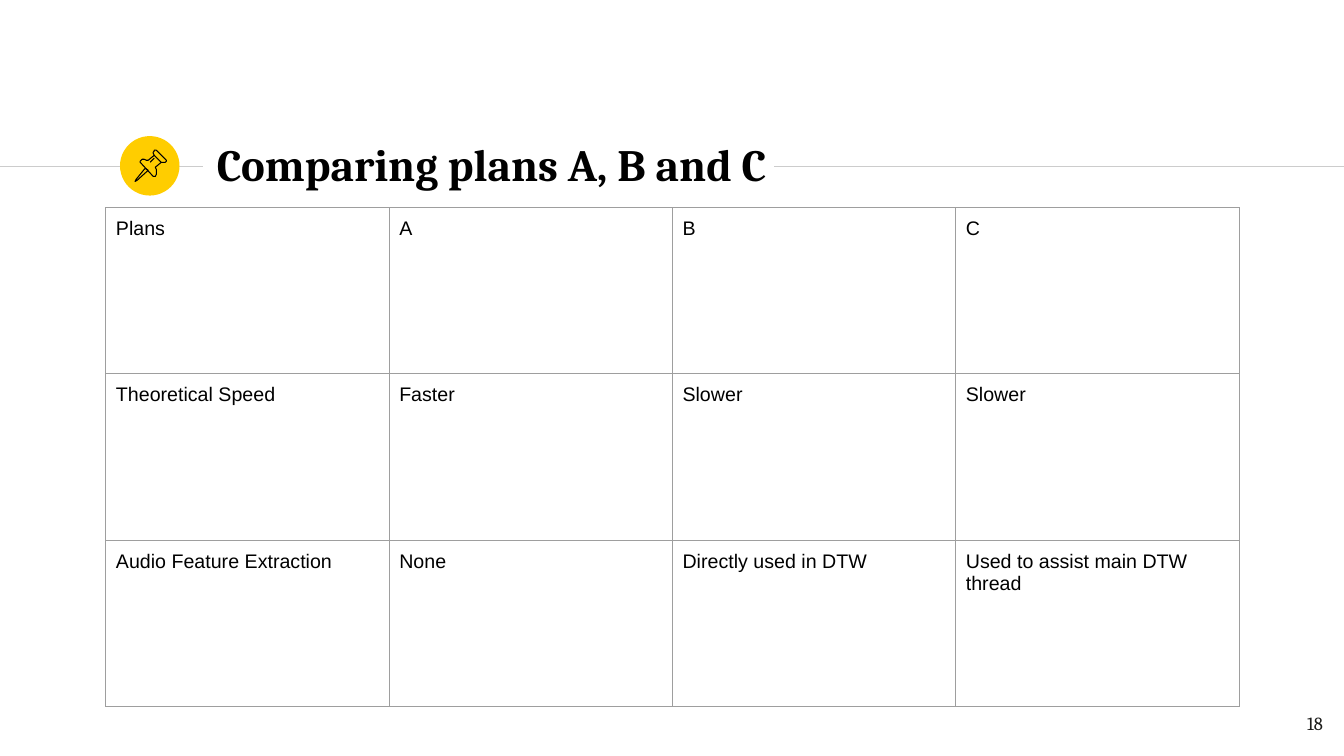
"""Build the slide that compares plans A, B and C in a table."""
from enum import Enum

from lxml.etree import SubElement
from pptx import Presentation
from pptx.dml.color import RGBColor
from pptx.enum.shapes import MSO_CONNECTOR, MSO_SHAPE
from pptx.enum.text import MSO_ANCHOR, PP_ALIGN
from pptx.oxml import parse_xml
from pptx.oxml.ns import nsdecls, qn
from pptx.util import Inches, Pt


class Theme(Enum):
    INK = RGBColor.from_string("000000")
    NUMBER = RGBColor.from_string("1D1D1B")
    ACCENT = RGBColor.from_string("FFCD00")
    RULE = RGBColor.from_string("CCCCCC")
    BORDER = RGBColor.from_string("9E9E9E")
    HEADING_FONT = "Cambria"
    BODY_FONT = "Arial"
    TITLE_SIZE = Pt(32)
    BODY_SIZE = Pt(14)
    NUMBER_SIZE = Pt(13.3)
    LINE_WIDTH = Pt(0.75)


def write_text(frame, text, margin, font, size, color):
    frame.text = text
    frame.word_wrap = True
    frame.margin_left = frame.margin_right = Inches(margin)
    frame.margin_top = frame.margin_bottom = Inches(margin)
    span = frame.paragraphs[0].runs[0]
    span.font.name = font.value
    span.font.size = size.value
    span.font.color.rgb = color.value
    return span


def draw_line(start, end, color):
    line = page.shapes.add_connector(
        MSO_CONNECTOR.STRAIGHT, *[Inches(value) for value in start + end])
    line.line.color.rgb = color.value
    line.line.width = Theme.LINE_WIDTH.value
    SubElement(line._element.spPr, qn("a:effectLst"))


deck = Presentation()
deck.slide_width, deck.slide_height = Inches(13.33), Inches(7.5)
page = deck.slides.add_slide(deck.slide_layouts[6])

draw_line((0, 1.65), (2.01, 1.65), Theme.RULE)
draw_line((7.68, 1.65), (13.33, 1.65), Theme.RULE)

badge = page.shapes.add_shape(
    MSO_SHAPE.OVAL, Inches(1.19), Inches(1.35), Inches(0.59), Inches(0.59))
badge.shadow.inherit = False
badge.fill.solid()
badge.fill.fore_color.rgb = Theme.ACCENT.value
badge.line.fill.background()

title_box = page.shapes.add_textbox(
    Inches(2.02), Inches(1.3), Inches(8.38), Inches(0.64))
title = write_text(title_box.text_frame, "Comparing plans A, B and C", 0.13,
                   Theme.HEADING_FONT, Theme.TITLE_SIZE, Theme.INK)
title.font.bold = True
title_box.text_frame.vertical_anchor = MSO_ANCHOR.MIDDLE

pin_needle = [(1.44, 1.67), (1.35, 1.78), (1.34, 1.8), (1.36, 1.79), (1.47, 1.69)]
pin_head = [(1.53, 1.54), (1.6, 1.61), (1.62, 1.61), (1.64, 1.61), (1.65, 1.6),
            (1.65, 1.59), (1.55, 1.49), (1.54, 1.49), (1.53, 1.49), (1.53, 1.5),
            (1.52, 1.51), (1.52, 1.52)]
pin_body = [(1.53, 1.54), (1.47, 1.59), (1.45, 1.59), (1.43, 1.58), (1.41, 1.58),
            (1.4, 1.59), (1.39, 1.6), (1.39, 1.61), (1.52, 1.75), (1.53, 1.75),
            (1.54, 1.75), (1.55, 1.73), (1.55, 1.68), (1.54, 1.66), (1.6, 1.61)]
for points, closed in ((pin_needle, True), (pin_head, True), (pin_body, False)):
    corners = [(Inches(x), Inches(y)) for x, y in points]
    builder = page.shapes.build_freeform(*corners[0])
    builder.add_line_segments(corners[1:], close=closed)
    outline = builder.convert_to_shape()
    outline.shadow.inherit = False
    outline.fill.background()
    outline.line.color.rgb = Theme.INK.value
    outline.line.width = Theme.LINE_WIDTH.value
draw_line((1.49, 1.61), (1.53, 1.57), Theme.INK)

number_box = page.shapes.add_textbox(
    Inches(12.45), Inches(6.95), Inches(0.8), Inches(0.55))
write_text(number_box.text_frame, "18", 0.13,
           Theme.HEADING_FONT, Theme.NUMBER_SIZE, Theme.NUMBER)
number_box.text_frame.paragraphs[0].alignment = PP_ALIGN.RIGHT

plan_rows = [
    ["Plans", "A", "B", "C"],
    ["Theoretical Speed", "Faster", "Slower", "Slower"],
    ["Audio Feature Extraction", "None", "Directly used in DTW",
     "Used to assist main DTW thread"],
]
table = page.shapes.add_table(
    len(plan_rows), len(plan_rows[0]),
    Inches(1.05), Inches(2.06), Inches(11.24), Inches(4.95)).table
table.first_row = table.horz_banding = False
for row_index, plan_row in enumerate(plan_rows):
    for column_index, text in enumerate(plan_row):
        cell = table.cell(row_index, column_index)
        write_text(cell.text_frame, text, 0.1,
                   Theme.BODY_FONT, Theme.BODY_SIZE, Theme.INK)
        cell.margin_left = cell.margin_right = Inches(0.1)
        cell.margin_top = cell.margin_bottom = Inches(0.1)
        cell.fill.background()
        properties = cell._tc.get_or_add_tcPr()
        for position, side in enumerate(("lnL", "lnR", "lnT", "lnB")):
            properties.insert(position, parse_xml(
                f'<a:{side} {nsdecls("a")} w="{Theme.LINE_WIDTH.value}"><a:solidFill>'
                f'<a:srgbClr val="{Theme.BORDER.value}"/></a:solidFill></a:{side}>'))

deck.save("out.pptx")
